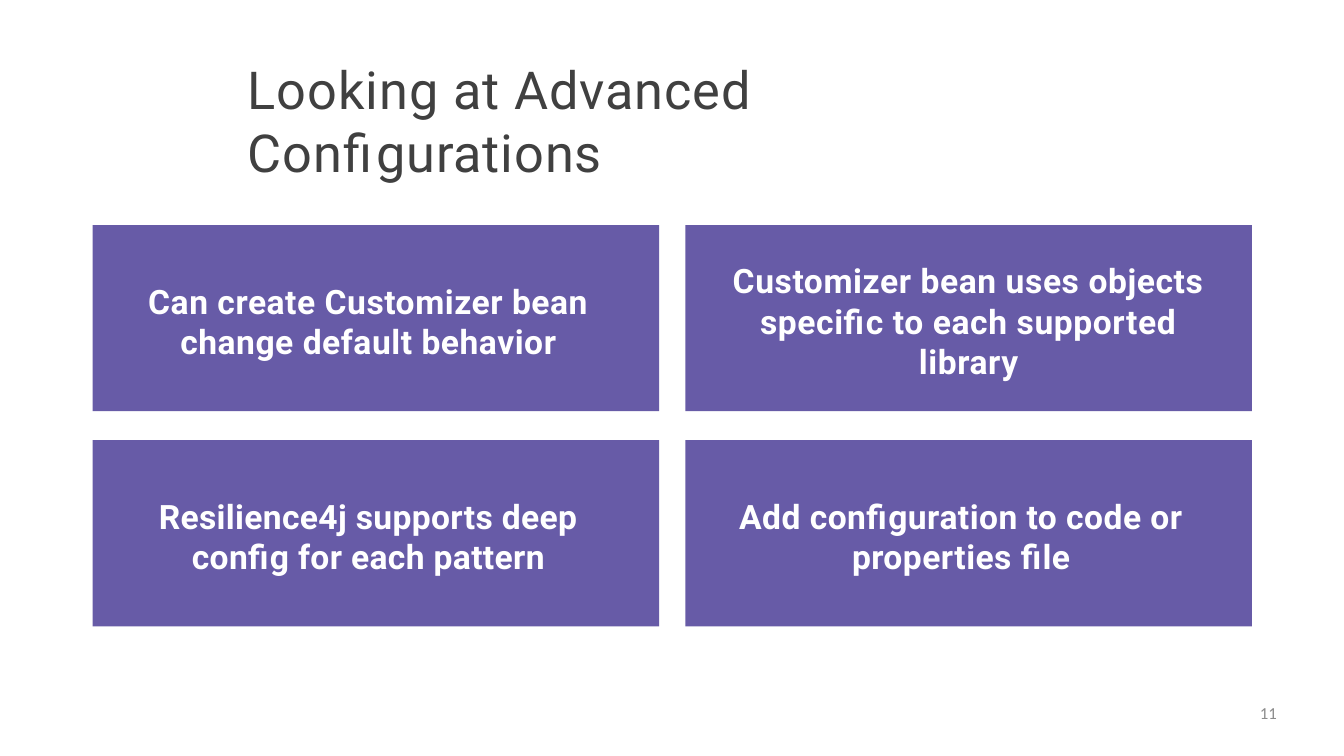
from dataclasses import dataclass

from pptx import Presentation
from pptx.dml.color import RGBColor
from pptx.enum.shapes import MSO_SHAPE
from pptx.enum.text import MSO_ANCHOR, PP_ALIGN
from pptx.util import Inches, Pt

RECTANGLE = MSO_SHAPE.RECTANGLE
TOP, MIDDLE = MSO_ANCHOR.TOP, MSO_ANCHOR.MIDDLE
LEFT, CENTER, RIGHT = PP_ALIGN.LEFT, PP_ALIGN.CENTER, PP_ALIGN.RIGHT


@dataclass(frozen=True)
class Theme:
    card: RGBColor = RGBColor(0x67, 0x5B, 0xA7)
    card_text: RGBColor = RGBColor(0xFF, 0xFF, 0xFF)
    title: RGBColor = RGBColor(0x40, 0x40, 0x40)
    number: RGBColor = RGBColor(0x8C, 0x8C, 0x8C)
    font: str = "Roboto"
    number_font: str = "Calibri"
    title_size: int = 56
    card_size: int = 36
    number_size: int = 18


@dataclass(frozen=True)
class Card:
    text: str
    spacing: float  # between letters, in points
    shift: float = -0.11  # of the text from the card's centre, in inches


THEME = Theme()
CARDS = [
    Card("Can create Customizer bean change default behavior", 0.6),
    Card("Customizer bean uses objects specific to each supported library", 0.65, 0),
    Card("Resilience4j supports deep config for each pattern", 0.4),
    Card("Add configuration to code or properties file", 0.5),
]
COLUMNS = 2
CARD_LEFT, CARD_TOP = 1.38, 3.35
CARD_WIDTH, CARD_HEIGHT = 8.43, 2.77
COLUMN_STEP, ROW_STEP = 8.82, 3.2
CARD_MARGIN = 0.6


def write_text(sp, text: str, *, size: int, color: RGBColor, font: str = THEME.font,
               bold: bool = False, align=LEFT, anchor=TOP, spacing: float = 0,
               margins: tuple = (0, 0, 0, 0)) -> None:
    """Fill a shape; margins are left, top, right, bottom in inches."""
    tf = sp.text_frame
    tf.word_wrap = True
    tf.vertical_anchor = anchor
    tf.margin_left, tf.margin_top, tf.margin_right, tf.margin_bottom = map(Inches, margins)
    p = tf.paragraphs[0]
    p.alignment = align
    r = p.add_run()
    r.text = text
    r.font.name, r.font.size, r.font.bold = font, Pt(size), bold
    r.font.color.rgb = color
    if spacing:
        r.font._element.set("spc", str(round(spacing * 100)))


def add_text(s, x: float, y: float, w: float, h: float, text: str, **style) -> None:
    sp = s.shapes.add_textbox(Inches(x), Inches(y), Inches(w), Inches(h))
    write_text(sp, text, **style)


def add_card(s, index: int, card: Card) -> None:
    row, column = divmod(index, COLUMNS)
    sp = s.shapes.add_shape(
        RECTANGLE,
        Inches(CARD_LEFT + column * COLUMN_STEP), Inches(CARD_TOP + row * ROW_STEP),
        Inches(CARD_WIDTH), Inches(CARD_HEIGHT))
    sp.shadow.inherit = False
    sp.fill.solid()
    sp.fill.fore_color.rgb = THEME.card
    sp.line.fill.background()
    write_text(sp, card.text, size=THEME.card_size, color=THEME.card_text, bold=True,
               align=CENTER, anchor=MIDDLE, spacing=card.spacing,
               margins=(CARD_MARGIN + card.shift, 0.08, CARD_MARGIN - card.shift, 0))


def main() -> None:
    prs = Presentation()
    prs.slide_width, prs.slide_height = Inches(20), Inches(11.25)
    s = prs.slides.add_slide(prs.slide_layouts[6])
    add_text(s, 3.68, 0.82, 12.64, 0.96, "Looking at Advanced Configurations",
             size=THEME.title_size, color=THEME.title, spacing=1,
             margins=(0.01, 0.03, 0, 0))
    for index, card in enumerate(CARDS):
        add_card(s, index, card)
    add_text(s, 14.4, 10.46, 4.6, 0.56, "11", size=THEME.number_size,
             color=THEME.number, font=THEME.number_font, align=RIGHT)
    prs.save("out.pptx")


if __name__ == "__main__":
    main()
